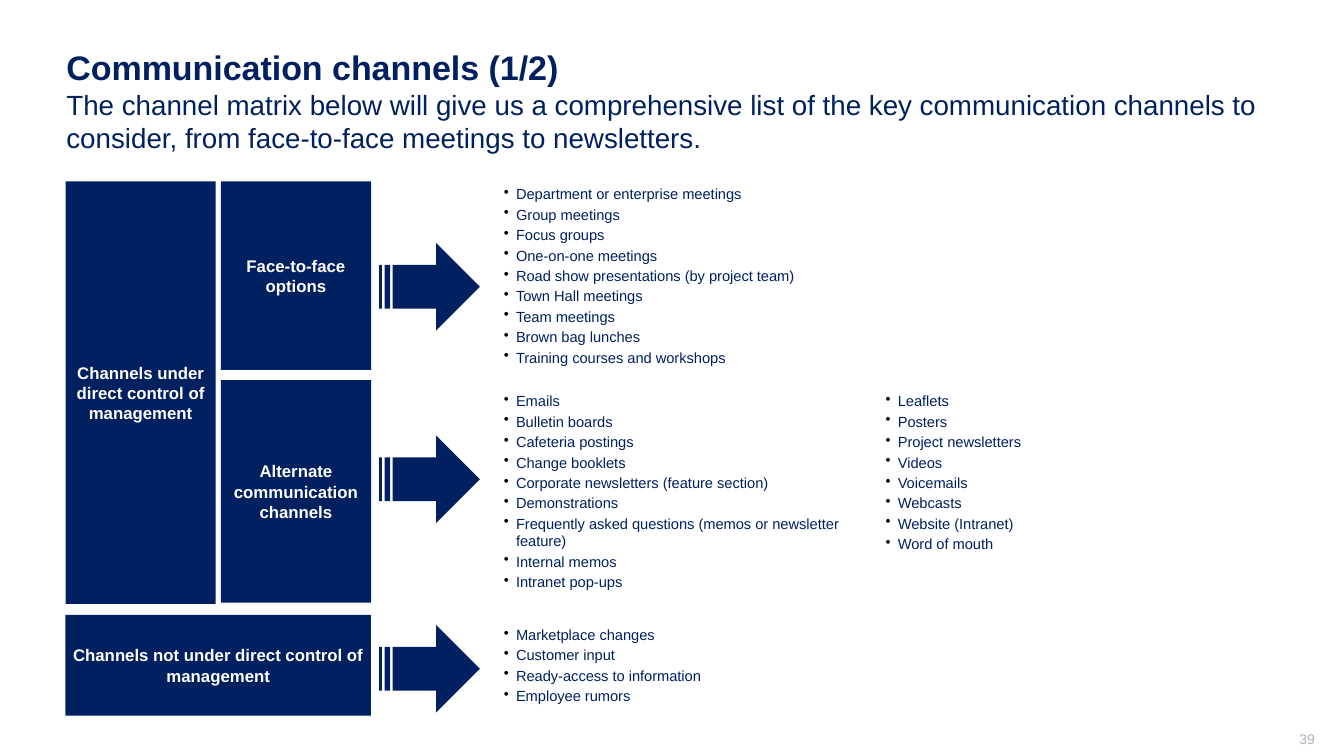
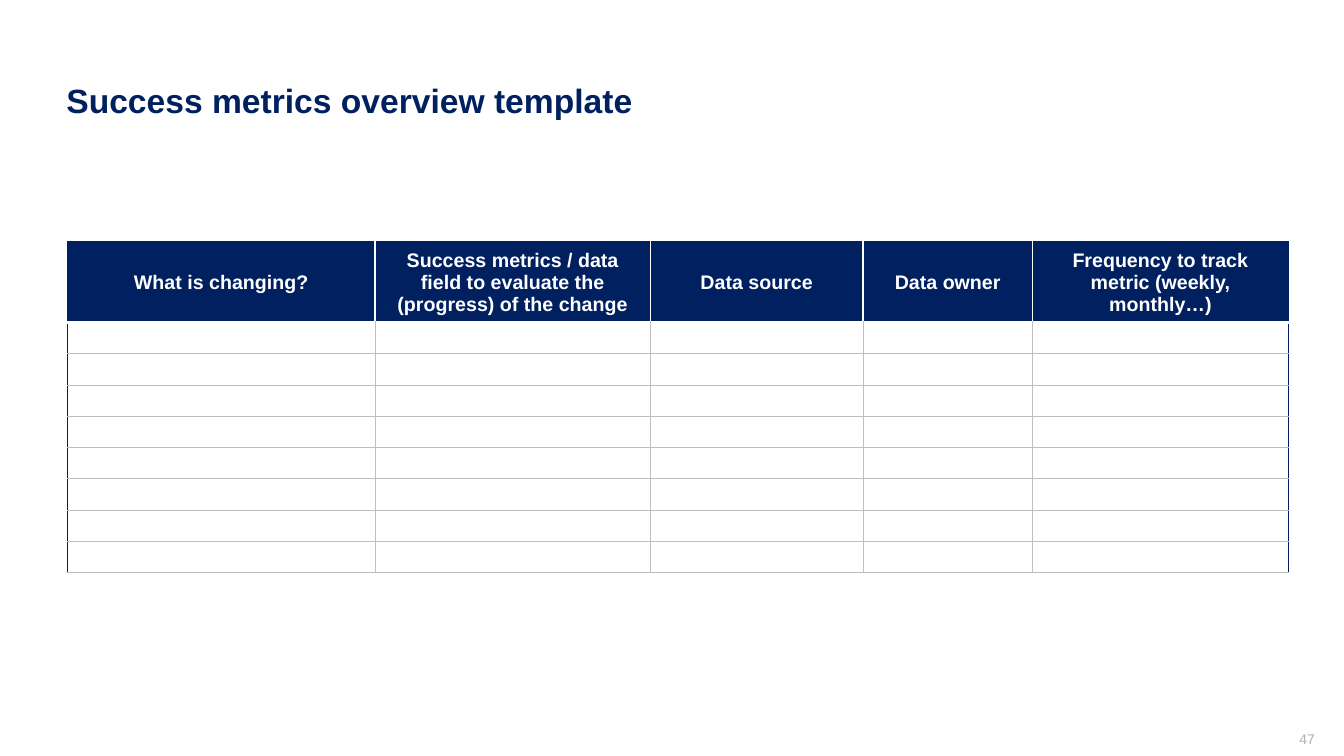
from lxml.etree import SubElement
from pptx import Presentation
from pptx.dml.color import RGBColor
from pptx.enum.shapes import MSO_SHAPE as Preset
from pptx.enum.text import MSO_ANCHOR as Anchor, PP_ALIGN as Align
from pptx.oxml.ns import qn
from pptx.util import Pt

PX = 9144
NAVY = RGBColor(0x00, 0x20, 0x60)
WHITE = RGBColor(0xFF, 0xFF, 0xFF)
BLACK = RGBColor(0x00, 0x00, 0x00)
GRID = RGBColor(0xBF, 0xBF, 0xBF)
PAGE_GRAY = RGBColor(0xAD, 0xAF, 0xBB)
FONT = "Arial"


def px(*lengths):
    return [length * PX for length in lengths]


def assign(target, values):
    for name, value in values.items():
        setattr(target, name, value)


class Deck:
    def __init__(self):
        self.prs = Presentation()
        self.prs.slide_width, self.prs.slide_height = px(1333, 750)
        self.slide = None

    def new_slide(self, page):
        self.slide = self.prs.slides.add_slide(self.prs.slide_layouts[6])
        number = self.text_box(1004, 725, 300, 21, (10, 0, 0, 5))
        self.add_text(number.paragraphs[0], page, 10, PAGE_GRAY, align=Align.RIGHT)

    def frame(self, shape, insets):
        left, top, right, bottom = px(*insets)
        assign(shape.text_frame, {
            "word_wrap": True, "vertical_anchor": Anchor.MIDDLE,
            "margin_left": left, "margin_top": top,
            "margin_right": right, "margin_bottom": bottom})
        return shape.text_frame

    def text_box(self, left, top, width, height, insets):
        box = self.slide.shapes.add_textbox(*px(left, top, width, height))
        return self.frame(box, insets)

    def add_text(self, paragraph, text, size, color, bold=False, align=Align.LEFT):
        paragraph.alignment = align
        run = paragraph.add_run()
        run.text = text
        assign(run.font, {"name": FONT, "size": Pt(size), "bold": bold})
        run.font.color.rgb = color

    def title(self, headline, size=24, subtitle=None):
        box = self.text_box(56, 40, 1211, 119, (10, 5, 10, 5))
        paragraph = box.paragraphs[0]
        self.add_text(paragraph, headline, size, NAVY, bold=True)
        if subtitle:
            paragraph.add_line_break()
            self.add_text(paragraph, subtitle, 19.8, NAVY)

    def shape(self, preset, bounds, fill):
        shape = self.slide.shapes.add_shape(preset, *px(*bounds))
        shape.shadow.inherit = False
        shape.fill.solid()
        shape.fill.fore_color.rgb = fill
        shape.line.fill.background()
        return shape

    def label(self, text, *bounds):
        block = self.shape(Preset.RECTANGLE, bounds, NAVY)
        frame = self.frame(block, (0, 5, 0, 5))
        self.add_text(frame.paragraphs[0], text, 12, WHITE, True, Align.CENTER)

    def arrow(self, *bounds):
        self.shape(Preset.STRIPED_RIGHT_ARROW, bounds, NAVY)

    def bullets(self, items, columns, *bounds):
        panel = self.shape(Preset.RECTANGLE, bounds, WHITE)
        inset = 5 if columns == 1 else 8
        frame = self.frame(panel, (10, inset, 10, inset))
        frame._txBody.bodyPr.set("numCol", str(columns))
        indent, = px(12)
        for index, item in enumerate(items):
            paragraph = frame.add_paragraph() if index else frame.paragraphs[0]
            assign(paragraph, {"space_before": Pt(1 if index else 0), "space_after": Pt(1)})
            properties = paragraph._p.get_or_add_pPr()
            properties.set("marL", str(indent))
            properties.set("indent", str(-indent))
            color = SubElement(properties, qn("a:buClr"))
            SubElement(color, qn("a:srgbClr"), val=str(BLACK))
            SubElement(properties, qn("a:buChar"), char="•")
            self.add_text(paragraph, item, 10.5, NAVY)

    def borders(self, cell, edges):
        properties = cell._tc.get_or_add_tcPr()
        for side, (color, width) in zip("LRTB", edges):
            line = SubElement(properties, qn(f"a:ln{side}"), w=str(Pt(width)))
            fill = SubElement(line, qn("a:solidFill"))
            SubElement(fill, qn("a:srgbClr"), val=str(color))

    def table(self, headers, widths, body_rows, left, top, header_height, row_height):
        heights = [header_height] + [row_height] * body_rows
        table = self.slide.shapes.add_table(
            len(heights), len(headers),
            *px(left, top, sum(widths), sum(heights))).table
        assign(table, {"first_row": False, "horz_banding": False})
        for column, width in zip(table.columns, px(*widths)):
            column.width = width
        for row, height in zip(table.rows, px(*heights)):
            row.height = height
        outer, grid, divider = (NAVY, 0.75), (GRID, 0.75), (WHITE, 1)
        last = len(headers) - 1
        for index, row in enumerate(table.rows):
            inner = grid if index else divider
            above = {0: outer, 1: divider}.get(index, grid)
            below = grid if index else (WHITE, 3)
            for position, cell in enumerate(row.cells):
                cell.vertical_anchor = Anchor.MIDDLE
                self.borders(cell, (inner if position else outer,
                                    inner if position < last else outer,
                                    above, below))
                paragraph = cell.text_frame.paragraphs[0]
                if index:
                    cell.fill.background()
                    SubElement(paragraph._p, qn("a:endParaRPr"), sz="1200")
                else:
                    cell.fill.solid()
                    cell.fill.fore_color.rgb = NAVY
                    self.add_text(paragraph, headers[position], 14, WHITE, True, Align.CENTER)


FACE_TO_FACE = [
    "Department or enterprise meetings", "Group meetings", "Focus groups",
    "One-on-one meetings", "Road show presentations (by project team)",
    "Town Hall meetings", "Team meetings", "Brown bag lunches",
    "Training courses and workshops"]
ALTERNATE = [
    "Emails", "Bulletin boards", "Cafeteria postings", "Change booklets",
    "Corporate newsletters (feature section)", "Demonstrations",
    "Frequently asked questions (memos or newsletter feature)",
    "Internal memos", "Intranet pop-ups", "Leaflets", "Posters",
    "Project newsletters", "Videos", "Voicemails", "Webcasts",
    "Website (Intranet)", "Word of mouth"]
UNCONTROLLED = [
    "Marketplace changes", "Customer input", "Ready-access to information",
    "Employee rumors"]
CHANNELS = [
    ("Face-to-face options", 219, 180, 187, 241, FACE_TO_FACE, 1),
    ("Alternate communication channels", 219, 377, 221, 432, ALTERNATE, 2),
    ("Channels not under direct control of management", 65, 610, 100, 620,
     UNCONTROLLED, 1)]
METRICS = {
    "What is changing?": 305,
    "Success metrics / data field to evaluate the (progress) of the change": 273,
    "Data source": 211,
    "Data owner": 168,
    "Frequency to track metric (weekly, monthly…)": 254}


def main():
    deck = Deck()

    deck.new_slide("39")
    deck.title("Communication channels (1/2)", 24.3,
               "The channel matrix below will give us a comprehensive list of the key "
               "communication channels to consider, from face-to-face meetings to newsletters.")
    deck.label("Channels under direct control of management", 65, 180, 149, 419)
    label_right = 368
    for name, left, top, height, arrow_top, items, columns in CHANNELS:
        deck.bullets(items, columns, 490, top, 777, height)
        deck.label(name, left, top, label_right - left, height)
        deck.arrow(376, arrow_top, 100, 87)

    deck.new_slide("47")
    deck.title("Success metrics overview template")
    deck.table(list(METRICS), list(METRICS.values()), 8, 67, 240, 77, 31)

    deck.prs.save("out.pptx")


if __name__ == "__main__":
    main()
